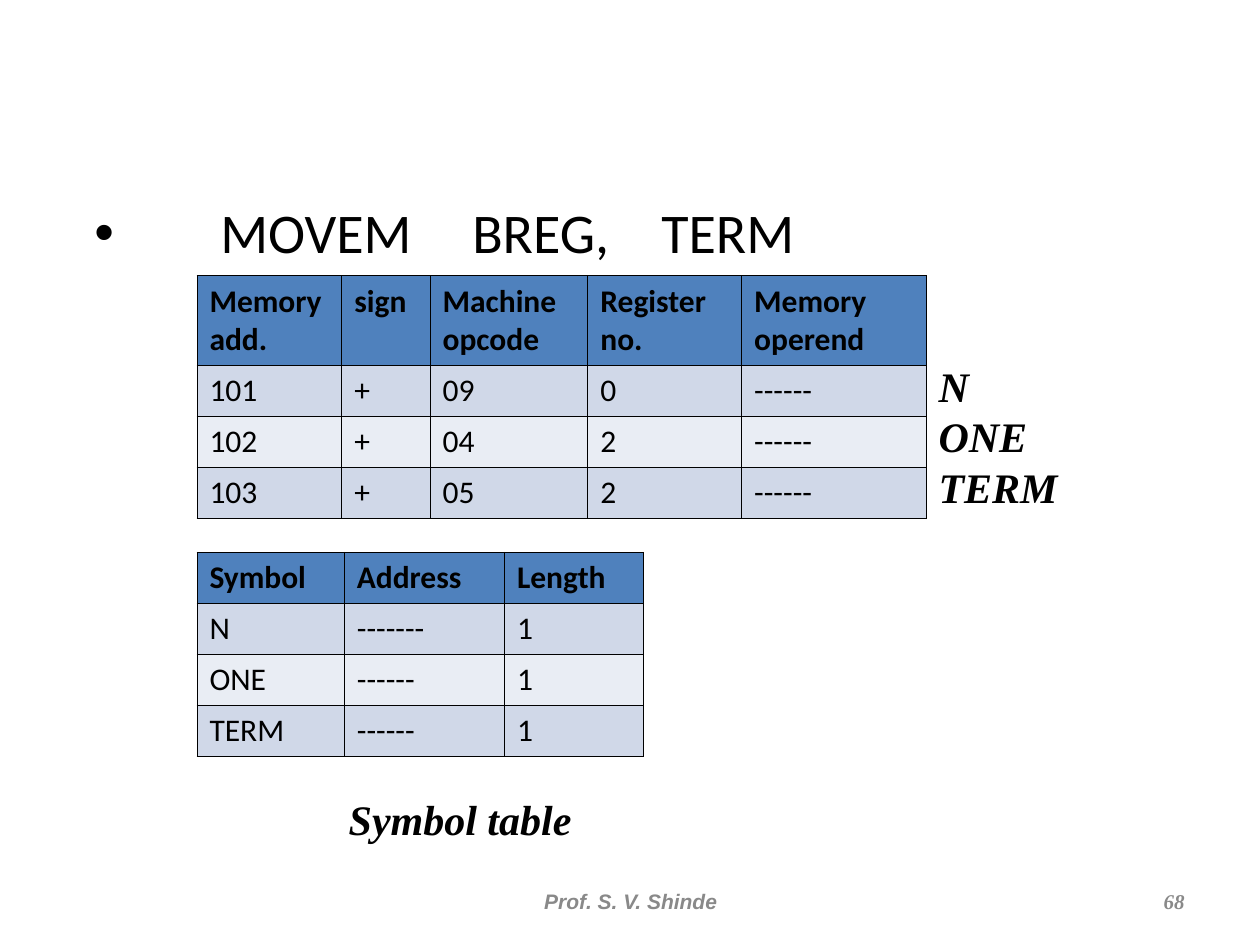
from dataclasses import dataclass

from lxml import etree
from pptx import Presentation
from pptx import util as u
from pptx.dml.color import RGBColor
from pptx.enum import text as t
from pptx.oxml import ns

BLACK = RGBColor(0x00, 0x00, 0x00)
GREY = RGBColor(0x89, 0x89, 0x89)
BLUE = RGBColor(0x4F, 0x81, 0xBD)
BANDS = (RGBColor(0xD0, 0xD8, 0xE8), RGBColor(0xE9, 0xED, 0xF4))
SERIF = "Times New Roman"
LEFT = 3.97


@dataclass
class Grid:
    top: float
    cols: list[float]
    head: float
    rows: list[list[str]]


@dataclass
class Label:
    box: tuple[float, float, float, float]
    lines: str
    size: int = 24
    face: str = SERIF
    color: RGBColor = BLACK
    align: t.PP_ALIGN = t.PP_ALIGN.LEFT
    fixed: bool = False


GRIDS = [
    Grid(5.56, [2.92, 1.78, 3.18, 3.1, 3.73], 1.78, [
        ["Memory add.", "sign", "Machine opcode", "Register no.", "Memory operend"],
        ["101", "+", "09", "0", "------"],
        ["102", "+", "04", "2", "------"],
        ["103", "+", "05", "2", "------"],
    ]),
    Grid(11.13, [2.97, 3.23, 2.79], 1.03, [
        ["Symbol", "Address", "Length"],
        ["N", "-------", "1"],
        ["ONE", "------", "1"],
        ["TERM", "------", "1"],
    ]),
]

LABELS = [
    Label((18.67, 7.14, 2.9, 3.3), "N\nONE\nTERM"),
    Label((6.78, 15.88, 5, 1.27), "Symbol table"),
    Label((8.69, 17.65, 8.05, 1.02), "Prof. S. V. Shinde", 12, "Arial", GREY,
          t.PP_ALIGN.CENTER, True),
    Label((18.21, 17.65, 5.92, 1.02), "68", 12, SERIF, GREY, t.PP_ALIGN.RIGHT, True),
]


def write(frame, lines: str, size=18, face="Calibri", color=BLACK,
          bold=False, italic=False, align=t.PP_ALIGN.LEFT) -> None:
    frame.text = lines
    for para in frame.paragraphs:
        para.alignment = align
        para.space_before = u.Pt(0)
        for run in para.runs:
            font = run.font
            font.name, font.size = face, u.Pt(size)
            font.bold, font.italic = bold, italic
            font.color.rgb = color


def border(cell) -> None:
    props = cell._tc.get_or_add_tcPr()
    for side in ("lnL", "lnR", "lnT", "lnB"):
        line = etree.SubElement(props, ns.qn(f"a:{side}"), w=str(u.Pt(0.45)))
        fill = etree.SubElement(line, ns.qn("a:solidFill"))
        etree.SubElement(fill, ns.qn("a:srgbClr"), val=str(BLACK))


def draw_grid(slide, grid: Grid) -> None:
    highs = [grid.head] + [1.03] * (len(grid.rows) - 1)
    table = slide.shapes.add_table(
        len(highs), len(grid.cols), u.Cm(LEFT), u.Cm(grid.top),
        u.Cm(sum(grid.cols)), u.Cm(sum(highs))).table
    for col, wide in zip(table.columns, grid.cols):
        col.width = u.Cm(wide)
    for i, (row, high) in enumerate(zip(table.rows, highs)):
        row.height = u.Cm(high)
        for cell, word in zip(row.cells, grid.rows[i]):
            border(cell)
            cell.fill.solid()
            cell.fill.fore_color.rgb = BANDS[(i - 1) % 2] if i else BLUE
            write(cell.text_frame, word, bold=i == 0)


def draw_label(slide, label: Label) -> None:
    frame = slide.shapes.add_textbox(*map(u.Cm, label.box)).text_frame
    frame.word_wrap = label.fixed
    if label.fixed:
        frame.vertical_anchor = t.MSO_ANCHOR.MIDDLE
    else:
        frame.auto_size = t.MSO_AUTO_SIZE.SHAPE_TO_FIT_TEXT
    write(frame, label.lines, size=label.size, face=label.face, color=label.color,
          bold=True, italic=True, align=label.align)


def draw_code(body) -> None:
    body.left, body.top, body.width, body.height = map(u.Cm, (1.9, 3.81, 22.96, 12.4))
    frame = body.text_frame
    frame.auto_size = t.MSO_AUTO_SIZE.NONE
    frame.margin_left = frame.margin_right = frame.margin_bottom = 0
    frame.margin_top = u.Cm(0.18)
    props = frame.paragraphs[0]._p.get_or_add_pPr()
    props.set("marL", "0")
    props.set("indent", "0")
    etree.SubElement(props, ns.qn("a:buNone"))
    tabs = etree.SubElement(props, ns.qn("a:tabLst"))
    for stop in (1.14, 3.68, 8.76, 13.84):
        etree.SubElement(tabs, ns.qn("a:tab"), pos=str(u.Cm(stop)), algn="l")
    write(frame, "\t\tMOVEM\tBREG,\tTERM", size=32)


def main() -> None:
    deck = Presentation()
    deck.slide_width, deck.slide_height = u.Cm(25.4), u.Cm(19.05)
    slide = deck.slides.add_slide(deck.slide_layouts[1])
    title = slide.shapes.title._element
    title.getparent().remove(title)
    draw_code(slide.placeholders[1])
    for grid in GRIDS:
        draw_grid(slide, grid)
    for label in LABELS:
        draw_label(slide, label)
    deck.save("out.pptx")


if __name__ == "__main__":
    main()
